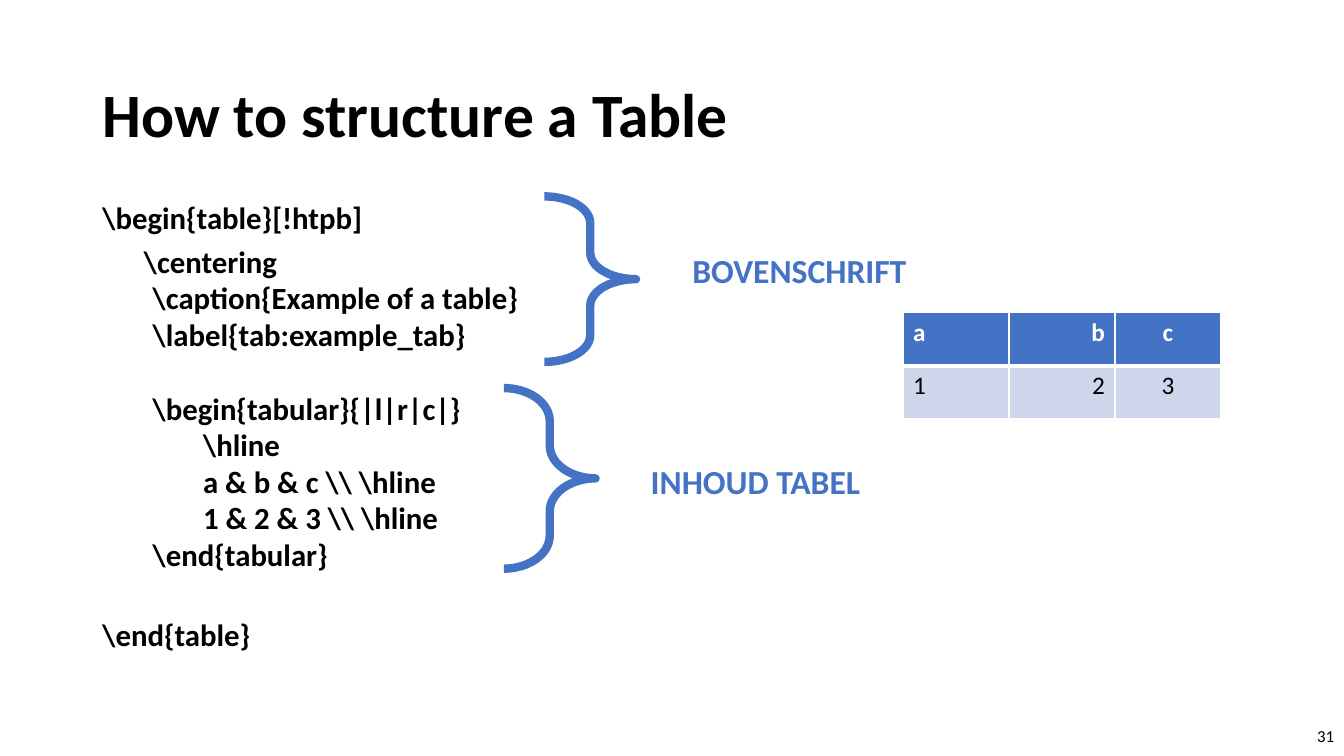
from lxml.etree import SubElement
from pptx import Presentation
from pptx.dml.color import RGBColor
from pptx.enum.shapes import MSO_SHAPE as Shape
from pptx.enum.text import MSO_ANCHOR as Anchor, PP_ALIGN as Align
from pptx.oxml.ns import qn
from pptx.util import Cm, Pt

FONT = "Calibri"
BLACK, WHITE, BLUE, PALE = "000000", "FFFFFF", "4472C4", "CFD5EA"
INDENT = 1.27

# Each code line: indent level, space before in points, text
CODE = [
    (0, 0, r"\begin{table}[!htpb]"),
    (0, 10, r"      \centering"),
    (1, 5, r"\caption{Example of a table}"),
    (1, 5, r"\label{tab:example_tab}"),
    (1, 31.5, r"\begin{tabular}{|l|r|c|}"),
    (2, 5, r"\hline"),
    (2, 5, r"a & b & c \\ \hline"),
    (2, 5, r"1 & 2 & 3 \\ \hline"),
    (1, 5, r"\end{tabular}"),
    (0, 36.5, r"\end{table}"),
]
TABLE_ROWS = ["abc", "123"]
TABLE_ALIGNS = [Align.LEFT, Align.RIGHT, Align.CENTER]


def color(hex_value):
    return RGBColor.from_string(hex_value)


def style(paragraph, size, hex_value, bold=False, align=Align.LEFT):
    paragraph.alignment = align
    font = paragraph.font
    font.name, font.size, font.bold = FONT, Pt(size), bold
    font.color.rgb = color(hex_value)


def add_text_box(shapes, place, anchor=Anchor.TOP):
    frame = shapes.add_textbox(*map(Cm, place)).text_frame
    frame.word_wrap = True
    frame.vertical_anchor = anchor
    return frame


def add_line_of_text(shapes, place, text, size, hex_value, bold=True,
                     align=Align.LEFT, anchor=Anchor.TOP):
    paragraph = add_text_box(shapes, place, anchor).paragraphs[0]
    paragraph.text = text
    style(paragraph, size, hex_value, bold, align)


def add_code(shapes, place):
    frame = add_text_box(shapes, place)
    for index, (level, space, text) in enumerate(CODE):
        paragraph = frame.add_paragraph() if index else frame.paragraphs[0]
        paragraph.text = text
        paragraph.line_spacing = 0.8
        paragraph.space_before = Pt(space)
        paragraph.level = level
        properties = paragraph._p.get_or_add_pPr()
        properties.set("marL", str(Cm(level * INDENT)))
        properties.set("indent", "0")
        style(paragraph, 22, BLACK, True)


def add_braced_label(slide, brace_place, curl, label_place, text):
    shapes = slide.shapes.add_group_shape().shapes
    brace = shapes.add_shape(Shape.RIGHT_BRACE, *map(Cm, brace_place))
    brace.adjustments[0] = curl
    brace.shadow.inherit = False
    brace.fill.background()
    brace.line.color.rgb = color(BLUE)
    brace.line.width = Pt(6)
    add_line_of_text(shapes, label_place, text, 24, BLUE)


def set_borders(cell, widths):
    properties = cell._tc.get_or_add_tcPr()
    for index, (side, width) in enumerate(widths.items()):
        line = properties.makeelement(qn(f"a:ln{side}"), {"w": str(Pt(width))})
        fill = SubElement(line, qn("a:solidFill"))
        SubElement(fill, qn("a:srgbClr"), val=WHITE)
        properties.insert(index, line)  # borders precede the fill


def add_example_table(shapes, place):
    table = shapes.add_table(len(TABLE_ROWS), len(TABLE_ALIGNS),
                             *map(Cm, place)).table
    for row, values in enumerate(TABLE_ROWS):
        header = row == 0
        for column, (value, align) in enumerate(zip(values, TABLE_ALIGNS)):
            cell = table.cell(row, column)
            cell.text = value
            cell.fill.solid()
            cell.fill.fore_color.rgb = color(BLUE if header else PALE)
            style(cell.text_frame.paragraphs[0], 18,
                  WHITE if header else BLACK, header, align)
            set_borders(cell, {"L": 1, "R": 1, "T": 1 if header else 3,
                               "B": 3 if header else 1})


def main():
    presentation = Presentation()
    presentation.slide_width, presentation.slide_height = Cm(33.87), Cm(19.05)
    slide = presentation.slides.add_slide(presentation.slide_layouts[6])
    shapes = slide.shapes

    # Title, code and page number
    add_line_of_text(shapes, (2.33, 1.01, 29.21, 3.68),
                     "How to structure a Table", 44, BLACK,
                     anchor=Anchor.MIDDLE)
    add_code(shapes, (2.33, 5.07, 29.21, 12.08))
    add_line_of_text(shapes, (26.25, 18.03, 7.62, 1.01), "31", 12, BLACK,
                     bold=False, align=Align.RIGHT, anchor=Anchor.MIDDLE)

    # Typeset result
    add_example_table(shapes, (22.76, 7.87, 8.01, 2.69))

    # Braces naming the two parts of the code
    add_braced_label(slide, (12.7, 9.78, 2.31, 4.55), 0.36,
                     (16.15, 11.48, 7.04, 1.17), "INHOUD TABEL")
    add_braced_label(slide, (13.72, 4.95, 2.31, 4.17), 0.29,
                     (17.2, 6.17, 5.97, 1.7), "BOVENSCHRIFT")

    presentation.save("out.pptx")


if __name__ == "__main__":
    main()
